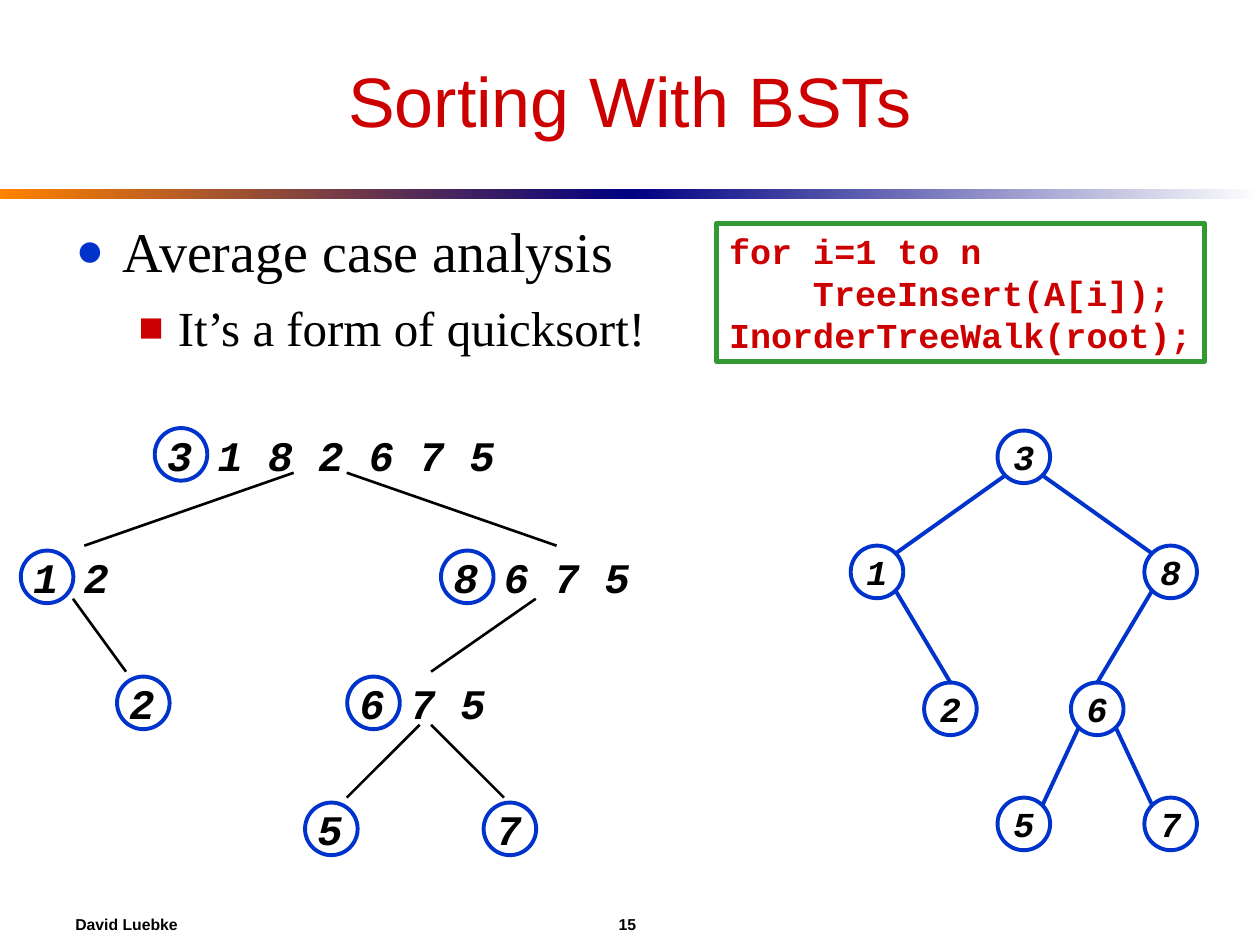
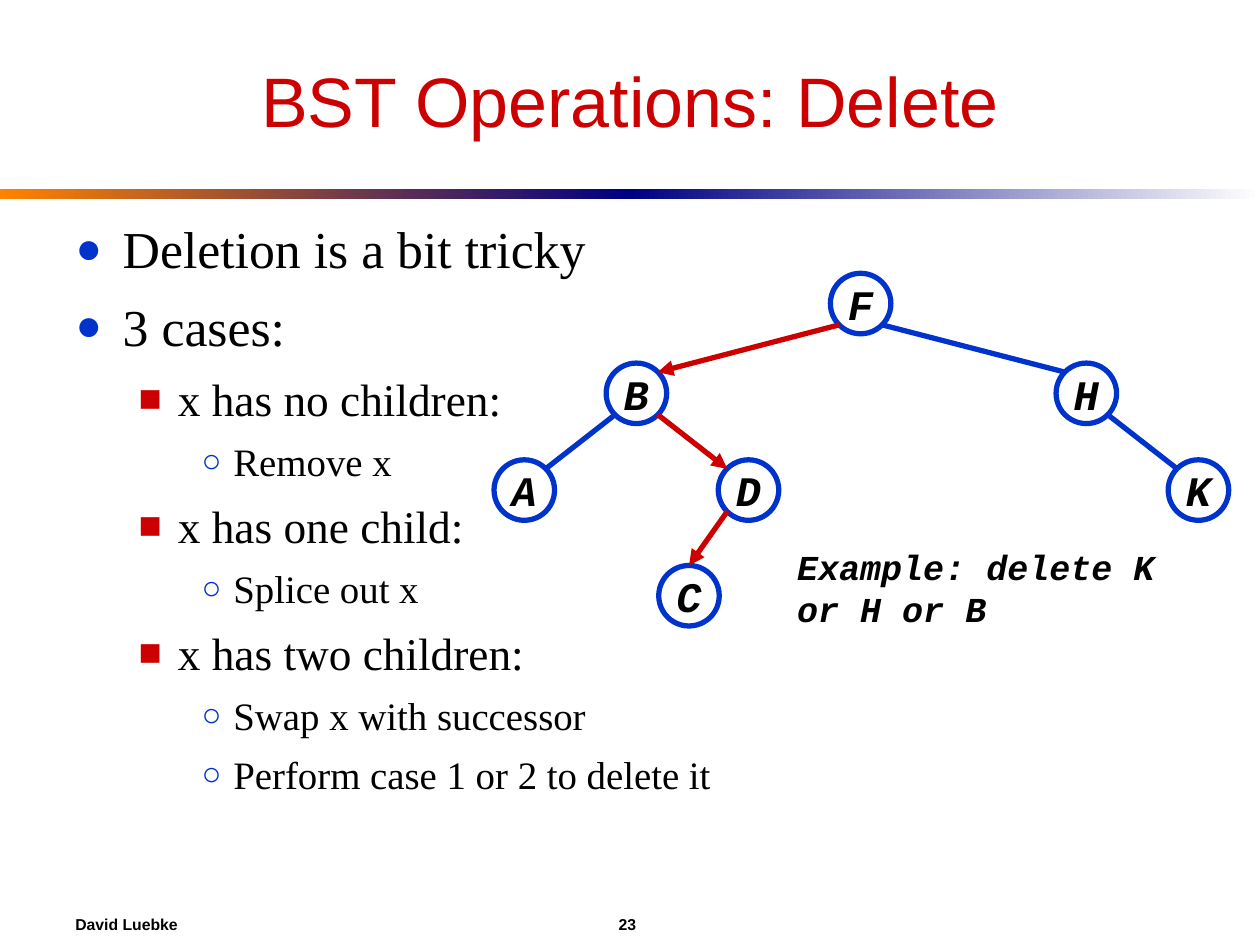
"""Builds two lecture slides on binary search trees."""
from lxml import etree
from pptx import Presentation
from pptx.dml.color import RGBColor
from pptx.enum.shapes import MSO_CONNECTOR, MSO_SHAPE
from pptx.enum.text import MSO_ANCHOR, MSO_AUTO_SIZE, PP_ALIGN
from pptx.oxml.ns import qn
from pptx.util import Cm, Pt

STRAIGHT = MSO_CONNECTOR.STRAIGHT
RECT, OVAL = MSO_SHAPE.RECTANGLE, MSO_SHAPE.OVAL
MIDDLE = MSO_ANCHOR.MIDDLE
NO_FIT = MSO_AUTO_SIZE.NONE
LEFT, CENTER = PP_ALIGN.LEFT, PP_ALIGN.CENTER
SANS, SERIF, MONO = "Arial", "Times New Roman", "Courier New"
COLORS = {"red": "CC0000", "blue": "0033CC", "green": "339933", "black": "000000",
          "white": "FFFFFF", "orange": "FF8200", "navy": "000082"}
RGB = {name: RGBColor.from_string(value) for name, value in COLORS.items()}


def write(p, text, font, size, color="black", bold=False, italic=False):
    r = p.add_run()
    r.text = text
    r.font.name, r.font.size = font, Pt(size)
    r.font.bold, r.font.italic = bold, italic
    r.font.color.rgb = RGB[color]


def connect(s, x1, y1, x2, y2, color, width, arrow=False):
    line = s.shapes.add_connector(STRAIGHT, Cm(x1), Cm(y1), Cm(x2), Cm(y2))
    line.line.color.rgb = RGB[color]
    line.line.width = Pt(width)
    if arrow:
        etree.SubElement(line.line._get_or_add_ln(), qn("a:tailEnd"), type="triangle")
    etree.SubElement(line._element.spPr, qn("a:effectLst"))


prs = Presentation()
prs.slide_width, prs.slide_height = Cm(25.4), Cm(19.05)
layout = prs.slide_layouts[1]
for ph, top, height in ((layout.placeholders[0], 0.64, 2.74),
                        (layout.placeholders[1], 4.24, 12.06)):
    ph.left, ph.top, ph.width, ph.height = Cm(1.27), Cm(top), Cm(22.86), Cm(height)

# level: left margin, indent, bullet, bullet colour, space before
levels = [
    (0.95, -0.95, "●", "blue", 9),
    (2.06, -0.79, "■", "red", 8),
    (3.18, -0.64, "○", "blue", 7),
]
pages = [
    ("Sorting With BSTs", "15", (32, 28, 24), [
        (0, "Average case analysis"),
        (1, "It’s a form of quicksort!"),
    ]),
    ("BST Operations: Delete", "23", (29.6, 25.9, 22.2), [
        (0, "Deletion is a bit tricky"),
        (0, "3 cases:"),
        (1, "x has no children:"),
        (2, "Remove x"),
        (1, "x has one child:"),
        (2, "Splice out x"),
        (1, "x has two children:"),
        (2, "Swap x with successor"),
        (2, "Perform case 1 or 2 to delete it"),
    ]),
]
for title, number, sizes, items in pages:
    s = prs.slides.add_slide(layout)
    tf = s.shapes.title.text_frame
    tf.auto_size, tf.vertical_anchor = NO_FIT, MIDDLE
    tf.paragraphs[0].alignment = CENTER
    write(tf.paragraphs[0], title, SANS, 40, "red")

    tf = s.placeholders[1].text_frame
    tf.auto_size = NO_FIT
    for i, (level, text) in enumerate(items):
        p = tf.add_paragraph() if i else tf.paragraphs[0]
        margin, indent, bullet, color, before = levels[level]
        p.level, p.space_before = level, Pt(before)
        pPr = p._p.get_or_add_pPr()
        pPr.set("marL", str(Cm(margin)))
        pPr.set("indent", str(Cm(indent)))
        buClr = etree.SubElement(pPr, qn("a:buClr"))
        etree.SubElement(buClr, qn("a:srgbClr"), val=COLORS[color])
        etree.SubElement(pPr, qn("a:buSzPct"), val="85000")
        etree.SubElement(pPr, qn("a:buChar"), char=bullet)
        write(p, text, SERIF, sizes[level])

    tf = s.shapes.add_textbox(Cm(1.27), Cm(18.21), Cm(22.86), Cm(0.84)).text_frame
    tf.word_wrap, tf.vertical_anchor = True, MIDDLE
    p = tf.paragraphs[0]
    tabs = etree.SubElement(p._p.get_or_add_pPr(), qn("a:tabLst"))
    etree.SubElement(tabs, qn("a:tab"), pos=str(Cm(10.95)), algn="l")
    write(p, f"David Luebke\t{number}", SANS, 9, bold=True)

sorting, delete = prs.slides

for i, colors in enumerate((("orange", "navy"), ("navy", "white"))):
    sp = sorting.shapes.add_shape(RECT, Cm(12.7 * i), Cm(3.81), Cm(12.7), Cm(0.2))
    sp.shadow.inherit = False
    sp.line.fill.background()
    sp.fill.gradient()
    sp.fill.gradient_angle = 0
    for stop, color in zip(sp.fill.gradient_stops, colors):
        stop.color.rgb = RGB[color]
    prs.slide_master.shapes._spTree.append(sp._element)

sp = sorting.shapes.add_shape(RECT, Cm(14.45), Cm(4.5), Cm(9.83), Cm(2.79))
sp.shadow.inherit = False
sp.fill.background()
sp.line.color.rgb, sp.line.width = RGB["green"], Pt(3)
tf = sp.text_frame
tf.word_wrap = False
code = [(0, "for i=1 to n"), (1.69, "TreeInsert(A[i]);"), (0, "InorderTreeWalk(root);")]
for i, (margin, text) in enumerate(code):
    p = tf.add_paragraph() if i else tf.paragraphs[0]
    p.alignment = LEFT
    p._p.get_or_add_pPr().set("marL", str(Cm(margin)))
    write(p, text, MONO, 20, "red", bold=True)

partitions = [
    (3.12, 8.53, "3 1 8 2 6 7 5"),
    (0.42, 11, "1 2"),
    (8.89, 11, "8 6 7 5"),
    (2.36, 13.54, "2"),
    (7, 13.54, "6 7 5"),
    (6.15, 16.08, "5"),
    (9.75, 16.08, "7"),
]
for x, y, text in partitions:
    width = 0.51 * (len(text) + 1)
    tf = sorting.shapes.add_textbox(Cm(x), Cm(y), Cm(width), Cm(1.27)).text_frame
    tf.word_wrap, tf.vertical_anchor = False, MIDDLE
    write(tf.paragraphs[0], text, MONO, 24, bold=True, italic=True)
    sp = sorting.shapes.add_shape(OVAL, Cm(x), Cm(y + 0.1), Cm(1.06), Cm(1.06))
    sp.shadow.inherit = False
    sp.fill.background()
    sp.line.color.rgb, sp.line.width = RGB["blue"], Pt(2.25)

splits = [(5.92, 1.7, 9.53), (6.99, 11.22, 9.53), (1.47, 2.54, 12.07),
          (10.8, 8.69, 12.07), (8.46, 6.99, 14.61), (8.69, 10.16, 14.61)]
for x1, x2, y in splits:
    connect(sorting, x1, y, x2, y + 1.47, "black", 1.5)

col = [17.15 + 1.48 * i for i in range(5)]
# slide, node size, font size, line width, nodes, edges, red edges, nodes entered at the top
trees = [
    (sorting, 1.06, 20, 2.25,
     {"3": (col[2], 8.68), "1": (col[0], 11), "8": (col[4], 11), "2": (col[1], 13.76),
      "6": (col[3], 13.76), "5": (col[2], 16.08), "7": (col[4], 16.08)},
     ("31", "38", "12", "86", "65", "67"), (), "26"),
    (delete, 1.22, 24, 3,
     {"F": (16.74, 5.51), "B": (12.22, 7.32), "H": (21.29, 7.32), "K": (23.55, 9.27),
      "D": (14.48, 9.27), "A": (9.96, 9.27), "C": (13.28, 11.4)},
     ("FB", "FH", "BA", "BD", "HK", "DC"), ("FB", "BD", "DC"), "C"),
]
for s, size, font_size, width, nodes, edges, red_edges, top_entered in trees:
    for name, (x, y) in nodes.items():
        sp = s.shapes.add_shape(OVAL, Cm(x), Cm(y), Cm(size), Cm(size))
        sp.shadow.inherit = False
        sp.fill.solid()
        sp.fill.fore_color.rgb = RGB["white"]
        sp.line.color.rgb, sp.line.width = RGB["blue"], Pt(width)
        tf = sp.text_frame
        tf.word_wrap = False
        tf.paragraphs[0].alignment = CENTER
        write(tf.paragraphs[0], name, MONO, font_size, bold=True, italic=True)
    near, far = 0.15 * size, 0.85 * size
    for edge in edges:
        (x1, y1), (x2, y2) = nodes[edge[0]], nodes[edge[1]]
        leave, enter = (near, far) if x2 < x1 else (far, near)
        drop = near
        if edge[1] in top_entered:
            enter, drop = size / 2, 0
        red = edge in red_edges
        connect(s, x1 + leave, y1 + far, x2 + enter, y2 + drop,
                "red" if red else "blue", width, red)

tf = delete.shapes.add_textbox(Cm(15.82), Cm(10.87), Cm(7.72), Cm(1.96)).text_frame
tf.word_wrap, tf.vertical_anchor = False, MIDDLE
for i, text in enumerate(("Example: delete K", "or H or B")):
    p = tf.add_paragraph() if i else tf.paragraphs[0]
    write(p, text, MONO, 20, bold=True, italic=True)

prs.save("out.pptx")
